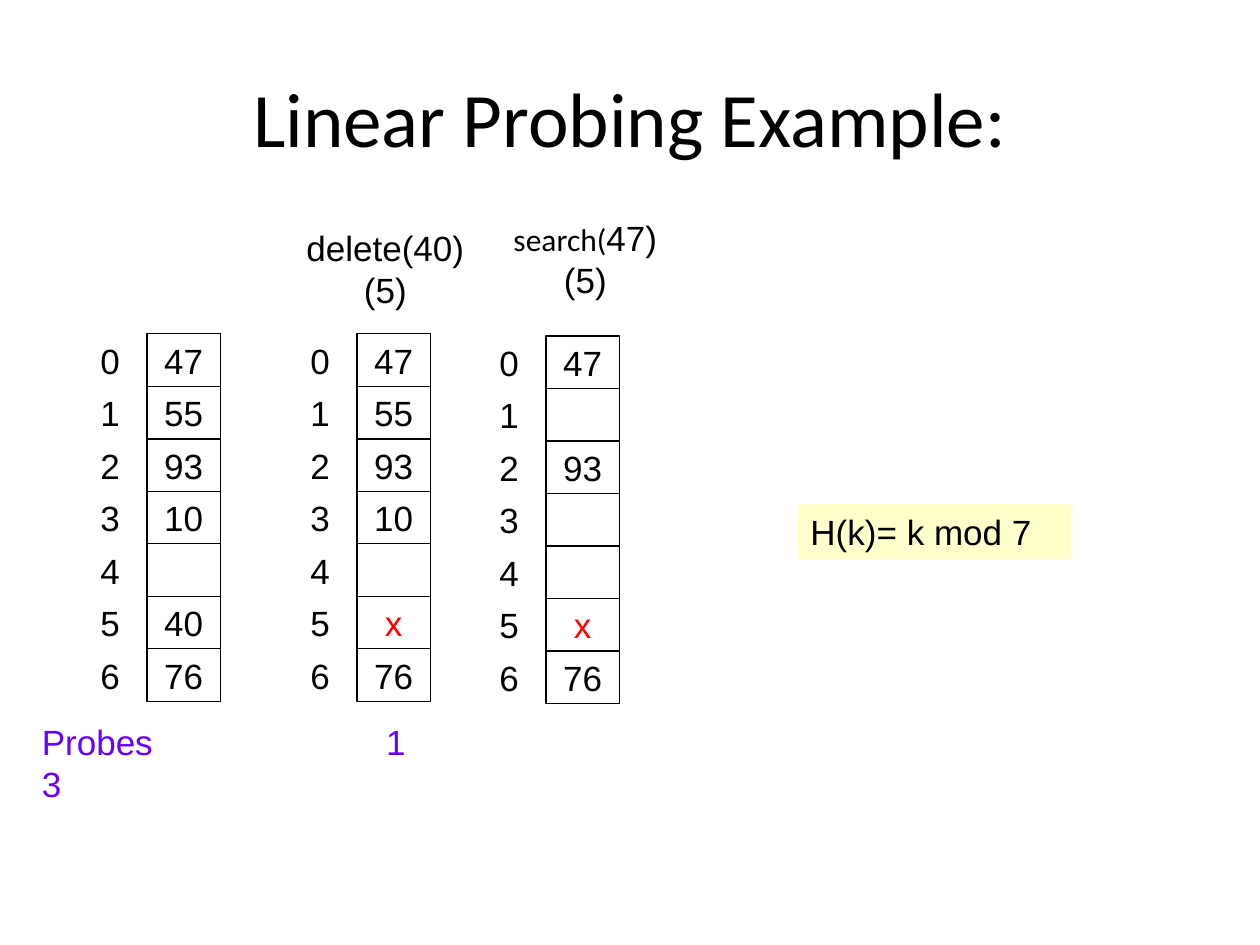
"""Build the linear probing slide on a grid of twelfths of an inch."""
import dataclasses
import typing

import pptx
import pptx.dml.color
import pptx.enum.shapes
import pptx.enum.text
import pptx.oxml.ns
import pptx.util
from lxml import etree

UNIT = pptx.util.Inches(1) / 12
INDEX_COLS, GAP_COLS, CELL_COLS, CELL_ROWS = 5, 1, 7, 5
BLACK, RED, VIOLET, CREAM = "000000", "FF0000", "6600FF", "FFFFCC"
ALIGN = pptx.enum.text.PP_ALIGN
ANCHOR = pptx.enum.text.MSO_ANCHOR
RECT = pptx.enum.shapes.MSO_SHAPE.RECTANGLE


@dataclasses.dataclass
class HashTable:
    """Grid position and slot contents of one hash table."""
    col: float
    row: float
    slots: list[str]


@dataclasses.dataclass
class Label:
    """Grid box, lines and look of one free label."""
    col: float
    row: float
    cols: float
    rows: float
    lines: list[str]
    color: str = BLACK
    align: typing.Any = ALIGN.CENTER
    wrap: bool = False
    fill: str | None = None


TABLES = [
    HashTable(28, 31.8, ["47", "55", "93", "10", "", "x", "76"]),
    HashTable(8, 31.8, ["47", "55", "93", "10", "", "40", "76"]),
    HashTable(46, 32, ["47", "", "93", "", "", "x", "76"]),
]
DELETE = Label(28, 21, 17.4, 9.24, ["delete(40)", "(5)"])
SEARCH = Label(46.4, 20, 18.7, 9.96, ["search(47)", "(5)"])
PROBES = Label(2.8, 68, 54.2, 5.2, ["Probes\t1\v3"], VIOLET, ALIGN.LEFT, True)
HASH = Label(76, 48, 26, 5.3, ["H(k)= k mod 7"], align=ALIGN.LEFT, wrap=True, fill=CREAM)


def rgb(color: str) -> typing.Any:
    """Turn a hex string into a colour."""
    return pptx.dml.color.RGBColor.from_string(color)


def box(col: float, row: float, cols: float, rows: float) -> list[int]:
    """Convert a grid box to slide lengths."""
    return [round(v * UNIT) for v in (col, row, cols, rows)]


def style(r: typing.Any, color: str = BLACK, size: float = 20, name: str = "Arial") -> None:
    """Set the font of a run."""
    r.font.size, r.font.name = pptx.util.Pt(size), name
    r.font.color.rgb = rgb(color)


def write(sp: typing.Any, lines: list[str], color: str, align: typing.Any, wrap: bool) -> None:
    """Fill a shape with formatted lines."""
    tf = sp.text_frame
    tf.text = "\n".join(lines)
    tf.word_wrap = wrap
    for p in tf.paragraphs:
        p.alignment = align
        for r in p.runs:
            style(r, color)


def rectangle(shapes: typing.Any, area: list[int], fill: str | None, line: str | None) -> typing.Any:
    """Add a flat rectangle."""
    sp = shapes.add_shape(RECT, *area)
    sp.shadow.inherit = False
    if fill:
        sp.fill.solid()
        sp.fill.fore_color.rgb = rgb(fill)
    else:
        sp.fill.background()
    if line:
        sp.line.color.rgb = rgb(line)
        sp.line.width = pptx.util.Pt(0.75)
    else:
        sp.line.fill.background()
    return sp


def draw_table(s: typing.Any, table: HashTable) -> None:
    """Draw the indices and slots of a hash table as a group."""
    shapes = s.shapes.add_group_shape().shapes
    for i, slot in enumerate(table.slots):
        row = table.row + i * CELL_ROWS
        index = shapes.add_textbox(*box(table.col, row, INDEX_COLS, CELL_ROWS))
        write(index, [str(i)], BLACK, ALIGN.CENTER, False)
        cell_col = table.col + INDEX_COLS + GAP_COLS
        cell = rectangle(shapes, box(cell_col, row, CELL_COLS, CELL_ROWS), None, BLACK)
        if slot:
            write(cell, [slot], RED if slot == "x" else BLACK, ALIGN.CENTER, False)
        for sp in (index, cell):
            sp.text_frame.vertical_anchor = ANCHOR.MIDDLE


def draw_label(s: typing.Any, label: Label) -> typing.Any:
    """Draw a label and return its shape."""
    area = box(label.col, label.row, label.cols, label.rows)
    if label.fill:
        sp = rectangle(s.shapes, area, label.fill, None)
    else:
        sp = s.shapes.add_textbox(*area)
    write(sp, label.lines, label.color, label.align, label.wrap)
    sp.text_frame.vertical_anchor = ANCHOR.TOP
    sp.text_frame.auto_size = pptx.enum.text.MSO_AUTO_SIZE.SHAPE_TO_FIT_TEXT
    return sp


def add_tab(p: typing.Any, cols: float) -> None:
    """Add a left tab stop to a paragraph."""
    tabs = etree.SubElement(p._p.get_or_add_pPr(), pptx.oxml.ns.qn("a:tabLst"))
    etree.SubElement(tabs, pptx.oxml.ns.qn("a:tab"), pos=str(round(cols * UNIT)), algn="l")


def main() -> None:
    """Build and save the slide."""
    prs = pptx.Presentation()
    prs.slide_width, prs.slide_height = box(0, 0, 120, 90)[2:]
    s = prs.slides.add_slide(prs.slide_layouts[5])
    title = s.shapes.title
    title.left, title.top, title.width, title.height = box(6, 3.6, 108, 15)
    write(title, ["Linear Probing Example:"], BLACK, ALIGN.CENTER, True)
    title.text_frame.vertical_anchor = ANCHOR.MIDDLE
    style(title.text_frame.paragraphs[0].runs[0], size=44, name="Calibri")
    for table in TABLES:
        draw_table(s, table)
    for label in (DELETE, HASH):
        draw_label(s, label)
    add_tab(draw_label(s, PROBES).text_frame.paragraphs[0], 32.8)
    p = draw_label(s, SEARCH).text_frame.paragraphs[0]
    p.runs[0].text = "search("
    style(p.runs[0], size=18, name="Calibri")
    r = p.add_run()
    r.text = "47)"
    style(r)
    prs.save("out.pptx")


if __name__ == "__main__":
    main()
